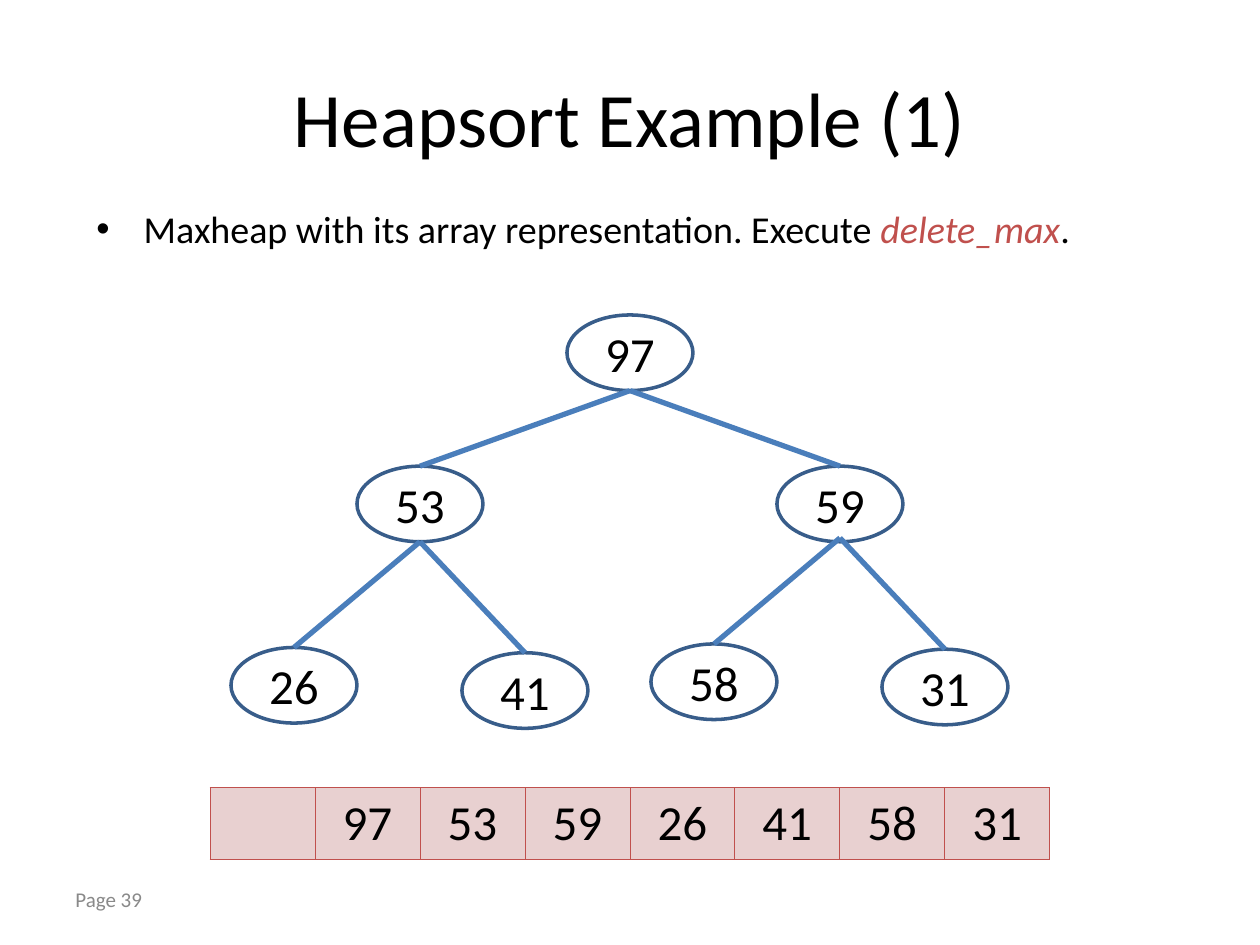
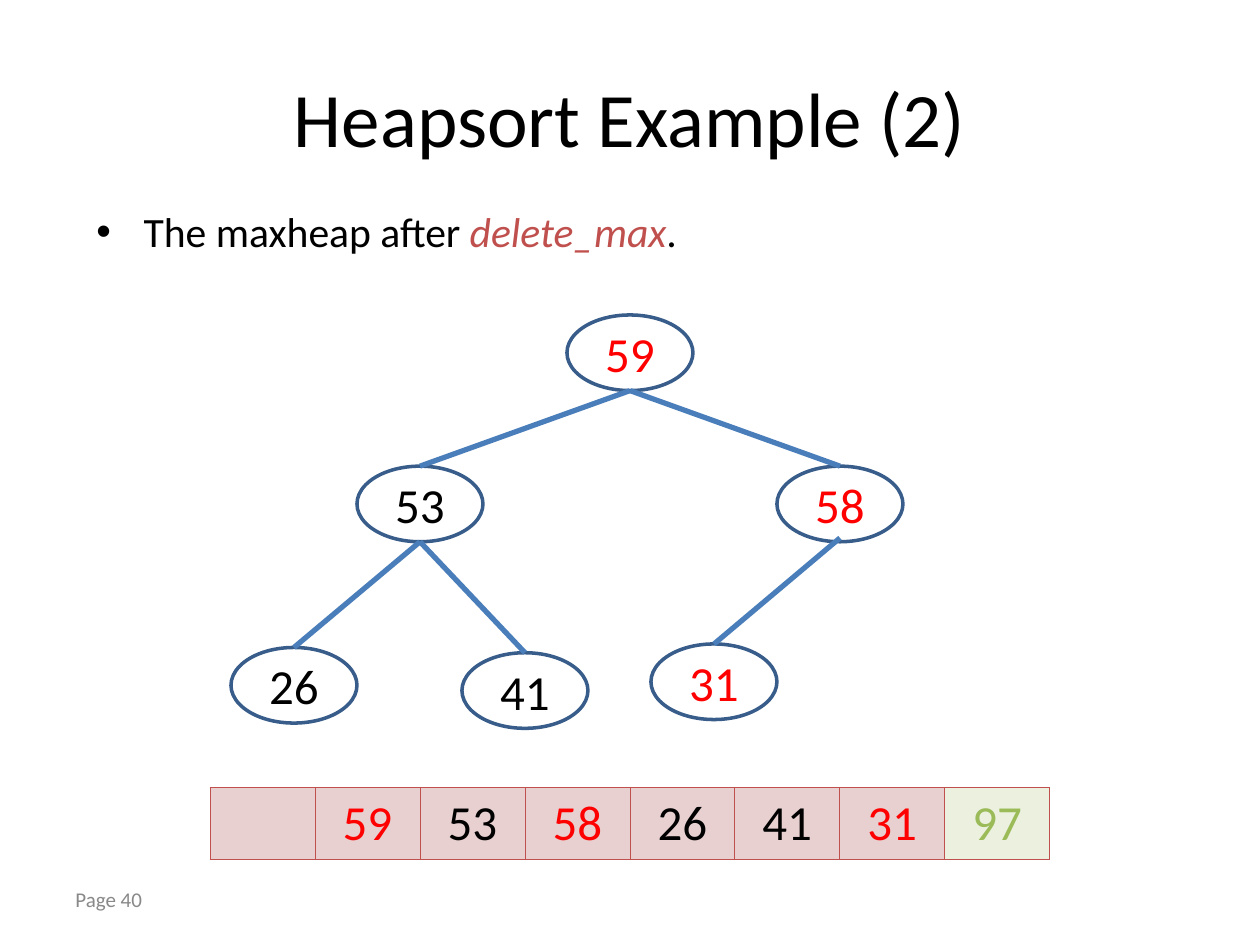
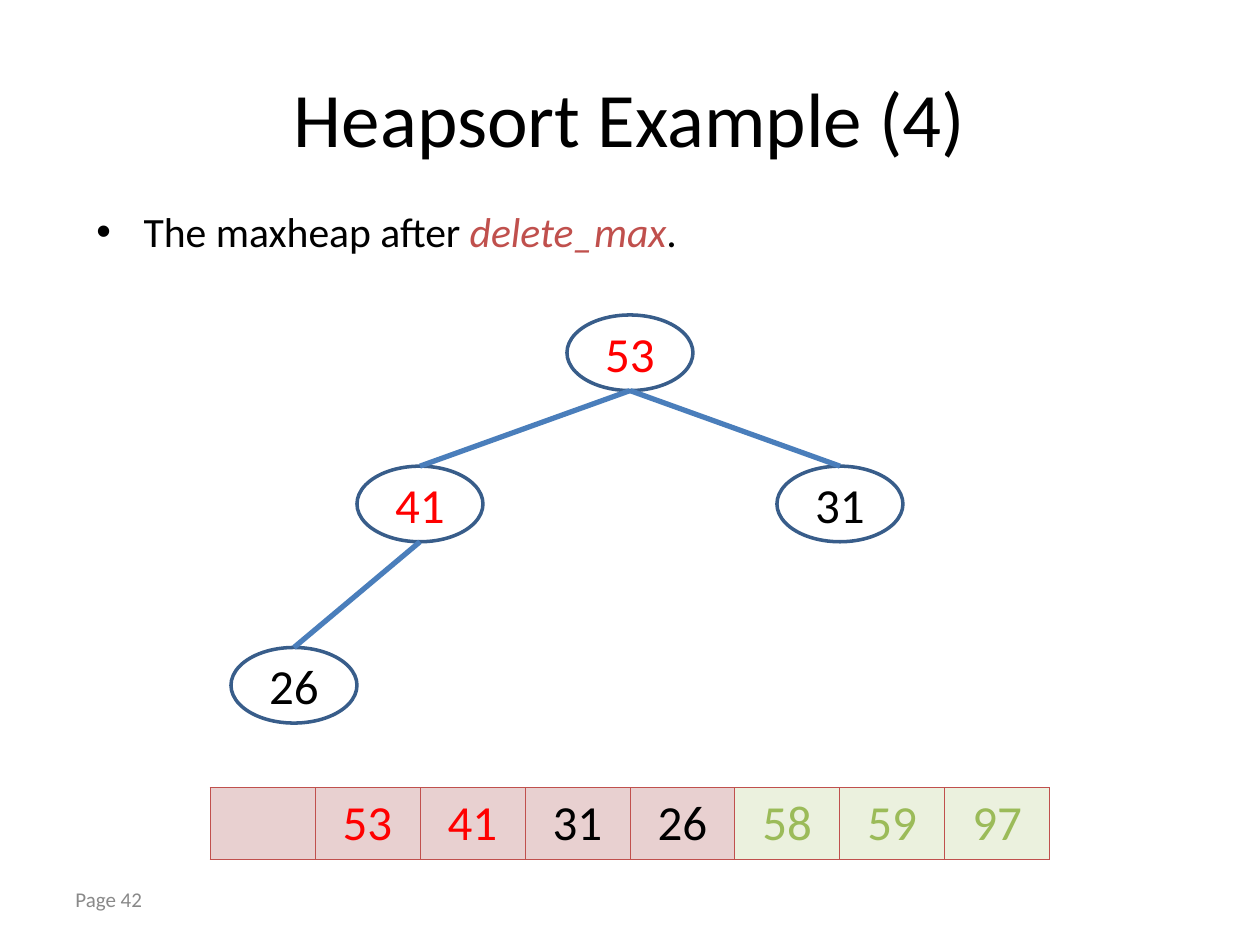
import lxml.etree
import pptx
import pptx.dml.color
import pptx.enum.shapes
import pptx.enum.text
import pptx.oxml.ns
import pptx.util

Pt = pptx.util.Pt
qn = pptx.oxml.ns.qn
ALIGN = pptx.enum.text.PP_ALIGN
ANCHOR = pptx.enum.text.MSO_ANCHOR

FONT = "Calibri"
COLORS = {
    "text": "000000",
    "accent": "C0504D",
    "changed": "FF0000",
    "sorted": "9BBB59",
    "muted": "898989",
    "outline": "385D8A",
    "link": "4A7EBB",
    "heap_fill": "E8D0D0",
    "sorted_fill": "EBF1DE",
}

NODE_W, NODE_H = 72, 43.2
NODES = [(360, 180), (240, 266.4), (480, 266.4),
         (168, 370), (300, 373), (408, 368), (540, 371)]
LINK_LIFT = {2: 2.2}
CELL_W, CELL_H = 60, 41

STEPS = [
    {"number": 1, "page": 39, "size": 21.7,
     "lead": "Maxheap with its array representation. Execute ",
     "values": [97, 53, 59, 26, 41, 58, 31], "heap_size": 7, "changed": []},
    {"number": 2, "page": 40, "size": 23.8,
     "lead": "The maxheap after ",
     "values": [59, 53, 58, 26, 41, 31, 97], "heap_size": 6, "changed": [59, 58, 31]},
    {"number": 4, "page": 42, "size": 23.8,
     "lead": "The maxheap after ",
     "values": [53, 41, 31, 26, 58, 59, 97], "heap_size": 4, "changed": [53, 41]},
]


def rgb(name):
    return pptx.dml.color.RGBColor.from_string(COLORS[name])


def write_text(tf, *parts, size=28, color="text", align=ALIGN.LEFT, anchor=ANCHOR.MIDDLE,
               spacing=None, bullet=False):
    tf.word_wrap = True
    tf.vertical_anchor = anchor
    p = tf.paragraphs[0]
    if bullet:
        pPr = p._p.get_or_add_pPr()
        pPr.set("marL", str(Pt(27)))
        pPr.set("indent", str(-Pt(27)))
        lxml.etree.SubElement(pPr, qn("a:buFont")).set("typeface", "Arial")
        lxml.etree.SubElement(pPr, qn("a:buChar")).set("char", "•")
    p.alignment = align
    if spacing:
        p.line_spacing = spacing
    for part in parts:
        emphasized = isinstance(part, tuple)
        r = p.add_run()
        r.text = part[0] if emphasized else part
        r.font.name = FONT
        r.font.size = Pt(size)
        r.font.italic = emphasized
        r.font.color.rgb = rgb("accent" if emphasized else color)


class HeapDeck:
    def __init__(self):
        self.prs = pptx.Presentation()
        self.prs.slide_width, self.prs.slide_height = Pt(720), Pt(540)
        self.s = None

    def slide(self, title):
        self.s = self.prs.slides.add_slide(self.prs.slide_layouts[5])
        sp = self.s.shapes.title
        sp.left, sp.top, sp.width, sp.height = Pt(36), Pt(21.6), Pt(648), Pt(90)
        write_text(sp.text_frame, title, size=44, align=ALIGN.CENTER)

    def text(self, x, y, w, h, *parts, **fmt):
        sp = self.s.shapes.add_textbox(Pt(x), Pt(y), Pt(w), Pt(h))
        write_text(sp.text_frame, *parts, **fmt)

    def node(self, cx, top, value, color):
        sp = self.s.shapes.add_shape(pptx.enum.shapes.MSO_SHAPE.OVAL, Pt(cx - NODE_W / 2),
                                     Pt(top), Pt(NODE_W), Pt(NODE_H))
        sp.shadow.inherit = False
        sp.fill.background()
        sp.line.color.rgb = rgb("outline")
        sp.line.width = Pt(2)
        write_text(sp.text_frame, str(value), color=color, align=ALIGN.CENTER)

    def link(self, x1, y1, x2, y2):
        line = self.s.shapes.add_connector(pptx.enum.shapes.MSO_CONNECTOR.STRAIGHT,
                                           Pt(x1), Pt(y1), Pt(x2), Pt(y2))
        line.line.color.rgb = rgb("link")
        line.line.width = Pt(3)
        lxml.etree.SubElement(line._element.spPr, qn("a:effectLst"))

    def tree(self, values, colors):
        for i, (value, color) in enumerate(zip(values, colors)):
            cx, top = NODES[i]
            self.node(cx, top, value, color)
            if i:
                parent = (i - 1) // 2
                px, py = NODES[parent]
                self.link(px, py + NODE_H - LINK_LIFT.get(parent, 0), cx, top)

    def border(self, cell):
        tcPr = cell._tc.get_or_add_tcPr()
        for side in ("a:lnL", "a:lnR", "a:lnT", "a:lnB"):
            ln = lxml.etree.SubElement(tcPr, qn(side), w=str(Pt(0.45)))
            fill = lxml.etree.SubElement(ln, qn("a:solidFill"))
            lxml.etree.SubElement(fill, qn("a:srgbClr"), val=COLORS["accent"])

    def array(self, values, colors):
        count = len(values) + 1
        table = self.s.shapes.add_table(1, count, Pt(120), Pt(450),
                                        Pt(CELL_W * count), Pt(CELL_H)).table
        table.first_row = table.horz_banding = False
        for i in range(count):
            table.columns[i].width = Pt(CELL_W)
            cell = table.cell(0, i)
            self.border(cell)
            is_sorted = i > 0 and colors[i - 1] == "sorted"
            cell.fill.solid()
            cell.fill.fore_color.rgb = rgb("sorted_fill" if is_sorted else "heap_fill")
            if i:
                write_text(cell.text_frame, str(values[i - 1]), color=colors[i - 1],
                           align=ALIGN.CENTER, anchor=ANCHOR.TOP)

    def step(self, number, page, size, lead, values, heap_size, changed):
        colors = ["sorted" if i >= heap_size else "changed" if value in changed else "text"
                  for i, value in enumerate(values)]
        self.slide(f"Heapsort Example ({number})")
        self.text(48, 114, 630, 38, lead, ("delete_max",), ".", size=size,
                  anchor=ANCHOR.TOP, bullet=True)
        self.text(36, 500.4, 168, 28.8, f"Page {page}", size=12, color="muted", spacing=0.85)
        self.array(values, colors)
        self.tree(values[:heap_size], colors)


def main():
    deck = HeapDeck()
    for step in STEPS:
        deck.step(**step)
    deck.prs.save("out.pptx")


if __name__ == "__main__":
    main()
